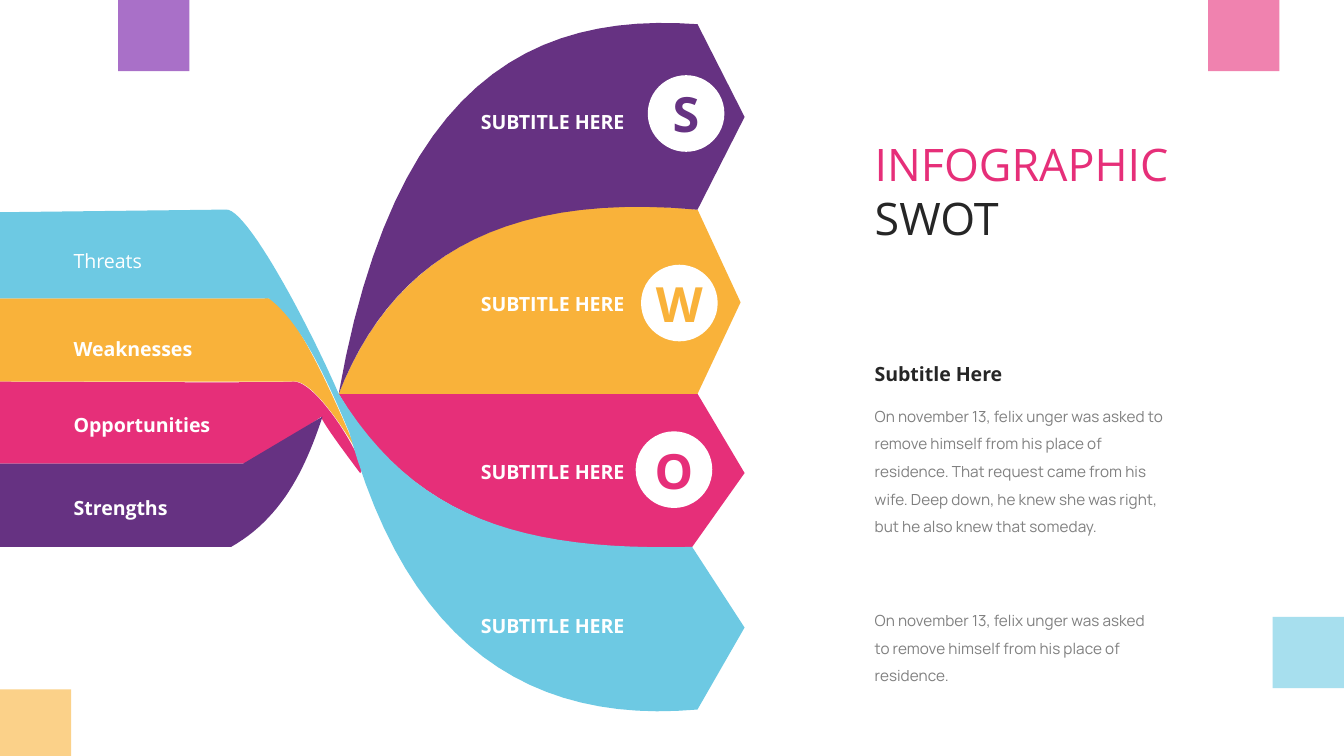
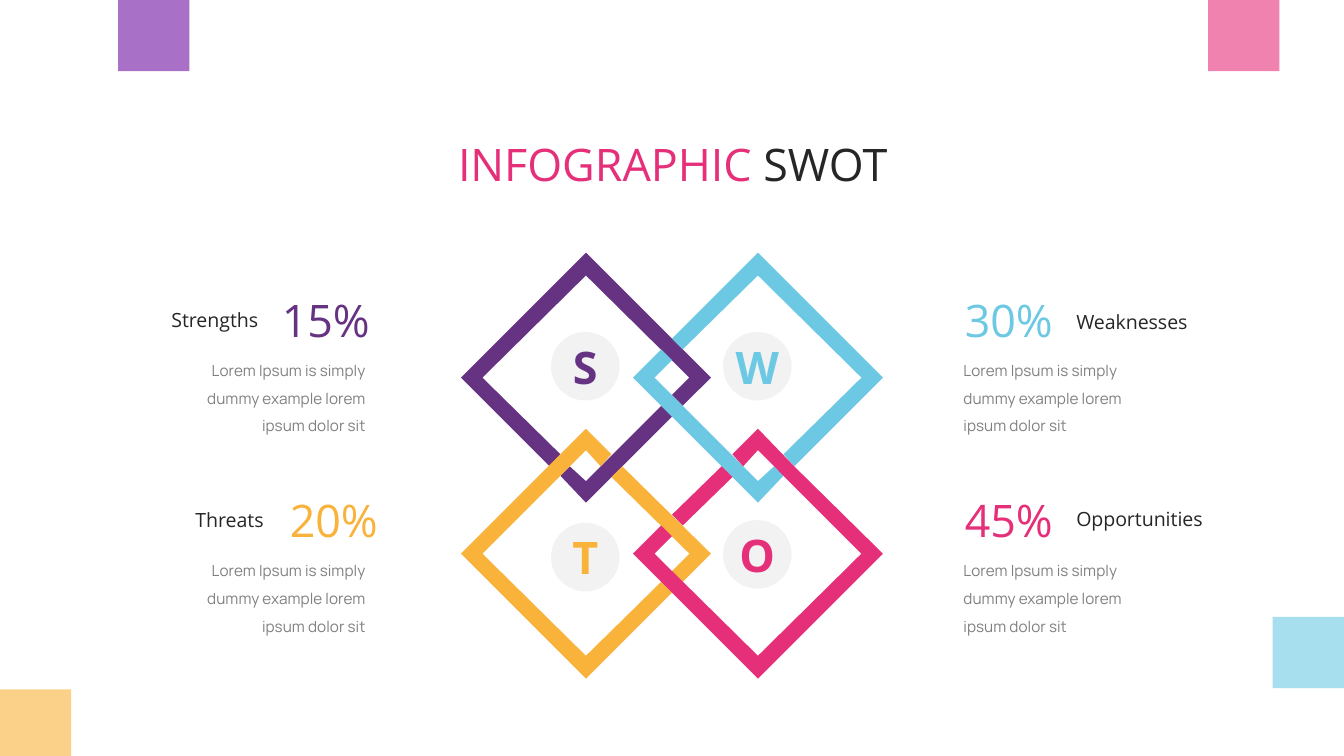
from pptx import Presentation
from pptx.dml.color import RGBColor
from pptx.enum.shapes import MSO_SHAPE
from pptx.enum.text import MSO_ANCHOR, MSO_AUTO_SIZE, PP_ALIGN
from pptx.util import Inches, Pt

# Shared style
COLORS = {
    "purple": "663282", "yellow": "F9B23A", "pink": "E62F79", "blue": "6DC9E3",
    "light_purple": "A970C8", "light_yellow": "FBD189",
    "light_pink": "F082AF", "light_blue": "A7DFEE",
    "white": "FFFFFF", "pale_grey": "F2F2F2", "grey": "808080", "ink": "262626",
}
HEADING_FONT, BODY_FONT = "Open Sans", "Manrope"
TITLE_SIZE, LABEL_SIZE, BODY_SIZE = 24, 10.5, 8.25
LEFT, CENTER, RIGHT = PP_ALIGN.LEFT, PP_ALIGN.CENTER, PP_ALIGN.RIGHT

CORNER_SIZE = 0.53
CORNERS = [("light_yellow", 0, 5.13), ("light_pink", 8.99, 0),
           ("light_blue", 9.47, 4.59), ("light_purple", 0.88, 0)]

# Ribbons, back to front: a pair is a straight step, six numbers are a curve
LEFT_RIBBONS_BACK = [
    ("yellow", [(2.21, 2.84), (2.35, 2.87, 2.56, 3.19, 2.65, 3.35),
                (2.53, 3.06, 2.15, 2.17, 1.97, 2.22), (0, 2.22), (0, 2.84)]),
    ("pink", [(1.81, 3.45), (1.81, 3.46, 2.35, 3.14, 2.39, 3.1),
              (2.39, 3.13, 2.56, 3.36, 2.68, 3.52),
              (2.76, 3.49, 2.36, 2.82, 2.18, 2.84),
              (2.12, 2.85, 0, 2.84, 0, 2.84), (0, 3.45)]),
    ("purple", [(1.72, 4.07), (2.09, 3.86, 2.27, 3.5, 2.4, 3.1),
                (1.81, 3.45), (0, 3.45), (0, 4.07)]),
]
RIGHT_RIBBONS = [
    ("pink", [(5.15, 4.07), (5.54, 3.52), (5.19, 2.93), (2.52, 2.93),
              (3.04, 3.83, 3.96, 4.15, 5.15, 4.07)]),
    ("yellow", [(5.51, 2.25), (5.19, 1.56),
                (3.82, 1.42, 2.94, 1.87, 2.52, 2.93), (5.19, 2.93)]),
    ("purple", [(5.19, 1.56), (5.54, 0.87), (5.19, 0.18),
                (3.96, 0.09, 2.93, 0.6, 2.52, 2.93),
                (2.89, 1.99, 3.65, 1.42, 5.19, 1.56)]),
]
FRONT_RIBBON = ("blue", [
    (2, 2.22), (2.23, 2.39, 2.42, 2.79, 2.6, 3.22),
    (3.04, 4.81, 3.95, 5.39, 5.19, 5.28), (5.54, 4.67), (5.15, 4.07),
    (3.88, 4.1, 3.09, 3.86, 2.52, 2.93),
    (2.29, 2.4, 1.83, 1.54, 1.68, 1.56), (0, 1.58), (0, 2.22)])
RIBBON_BADGES = [("S", "purple", 4.82, 0.56), ("W", "yellow", 4.77, 1.97),
                 ("O", "pink", 4.73, 3.21)]
RIBBON_LABELS = [("Threats", 1.8, False), ("Weaknesses", 2.46, True),
                 ("Opportunities", 3.02, True), ("Strengths", 3.64, True)]
SUBTITLE_TOPS = [0.77, 2.12, 3.37, 4.52]

# Interlaced diamonds: each ring is two pieces, cut where it passes under
DIAMOND_PIECES = [
    ("purple", [(5.08, 2.6), (4.36, 1.88), (3.43, 2.81), (4.09, 3.47),
                (4.17, 3.38), (3.59, 2.81), (4.36, 2.05), (5.13, 2.81),
                (5, 2.94), (5.08, 3.02), (5.29, 2.81)]),
    ("purple", [(4.36, 3.58), (4.24, 3.47), (4.17, 3.54), (4.36, 3.74),
                (5, 3.1), (4.92, 3.02)]),
    ("yellow", [(4.63, 3.47), (4.55, 3.55), (5.13, 4.12), (5, 4.25),
                (5.08, 4.33), (5.29, 4.12)]),
    ("yellow", [(4.36, 4.88), (3.59, 4.12), (4.36, 3.35), (4.47, 3.47),
                (4.55, 3.38), (4.36, 3.19), (3.43, 4.12), (4.36, 5.05),
                (5, 4.41), (4.92, 4.33)]),
    ("blue", [(5.64, 1.88), (5, 2.52), (5.08, 2.6), (5.64, 2.05),
              (6.41, 2.81), (5.83, 3.38), (5.91, 3.47), (6.57, 2.81)]),
    ("blue", [(5.64, 3.58), (4.87, 2.81), (5, 2.68), (4.92, 2.6),
              (4.71, 2.81), (5.64, 3.74), (5.83, 3.54), (5.76, 3.47)]),
    ("pink", [(5.45, 3.55), (5.37, 3.47), (5, 3.83), (5.08, 3.91)]),
    ("pink", [(5.91, 3.47), (5.64, 3.19), (5.45, 3.38), (5.53, 3.47),
              (5.64, 3.35), (6.41, 4.12), (5.64, 4.88), (4.87, 4.12),
              (5, 3.99), (4.92, 3.91), (4.71, 4.12), (5.64, 5.05),
              (6.57, 4.12)]),
]
DIAMOND_BADGES = [("S", "purple", 4.1, 2.47), ("W", "blue", 5.38, 2.47),
                  ("O", "pink", 5.38, 3.87), ("T", "yellow", 4.1, 3.89)]

# Name, its box; percentage, its box; colour, body left and top, alignment
STATISTICS = [
    ("Strengths", (0.62, 2.24, 1.4, 0.28), "15%", (1.84, 2.13, 1.01, 0.5),
     "purple", 1.27, 2.57, RIGHT),
    ("Threats", (0.75, 3.73, 1.31, 0.28), "20%", (1.93, 3.62, 0.98, 0.5),
     "yellow", 1.27, 4.06, RIGHT),
    ("Weaknesses", (7.91, 2.26, 1.83, 0.28), "30%", (7.08, 2.13, 0.91, 0.5),
     "blue", 7.07, 2.57, LEFT),
    ("Opportunities", (7.91, 3.72, 1.47, 0.28), "45%", (7.08, 3.62, 0.91, 0.5),
     "pink", 7.07, 4.06, LEFT),
]
STATISTIC_TEXT = "Lorem Ipsum\u00a0is simply dummy example lorem ipsum dolor sit"
BODY_SHORT = ("On november 13, felix unger was asked to remove himself "
              "from his place of residence.")
BODY_LONG = (BODY_SHORT + " That request came from his wife. Deep down, he knew "
             "she was right, but he also knew that someday.")


def rgb(color):
    return RGBColor.from_string(COLORS[color])


def paint(shape, color):
    shape.shadow.inherit = False
    shape.fill.solid()
    shape.fill.fore_color.rgb = rgb(color)
    shape.line.fill.background()


def add_run(paragraph, text, size, color, font=HEADING_FONT, bold=False):
    run = paragraph.add_run()
    run.text = text
    run.font.name = font
    run.font.size = Pt(size)
    run.font.bold = bold
    run.font.color.rgb = rgb(color)


def add_text(slide, box, paragraphs, size, align=LEFT, font=HEADING_FONT,
             bold=False, spacing=None):
    """Each paragraph is a list of (text, color) runs."""
    frame = slide.shapes.add_textbox(*map(Inches, box)).text_frame
    frame.word_wrap = True
    frame.auto_size = MSO_AUTO_SIZE.SHAPE_TO_FIT_TEXT
    for index, runs in enumerate(paragraphs):
        paragraph = frame.add_paragraph() if index else frame.paragraphs[0]
        paragraph.alignment = align
        if spacing:
            paragraph.line_spacing = spacing
        for text, color in runs:
            add_run(paragraph, text, size, color, font, bold)


def add_label(slide, box, text, color, align=LEFT, bold=False):
    add_text(slide, box, [[(text, color)]], LABEL_SIZE, align, bold=bold)


def add_body(slide, box, text, align=LEFT):
    add_text(slide, box, [[(text, "grey")]], BODY_SIZE, align, BODY_FONT,
             spacing=1.5)


def add_badge(slide, letter, color, left, top, diameter, fill, size):
    badge = slide.shapes.add_shape(
        MSO_SHAPE.OVAL, *map(Inches, (left, top, diameter, diameter)))
    paint(badge, fill)
    frame = badge.text_frame
    frame.margin_left = frame.margin_right = 0
    frame.margin_top = frame.margin_bottom = 0
    frame.word_wrap = False
    frame.vertical_anchor = MSO_ANCHOR.MIDDLE
    frame.paragraphs[0].alignment = CENTER
    add_run(frame.paragraphs[0], letter, size, color, bold=True)


def curve_points(start, curve, steps=24):
    """Points along a cubic curve, without its start."""
    controls = [start, curve[:2], curve[2:4], curve[4:]]
    for step in range(1, steps + 1):
        t = step / steps
        weights = ((1 - t) ** 3, 3 * t * (1 - t) ** 2, 3 * t * t * (1 - t), t ** 3)
        yield tuple(sum(weight * control[axis]
                        for weight, control in zip(weights, controls))
                    for axis in (0, 1))


def add_outline(slide, color, steps):
    points = [steps[0]]
    for step in steps[1:]:
        points.extend([step] if len(step) == 2 else curve_points(points[-1], step))
    points = [(Inches(x), Inches(y)) for x, y in points]
    builder = slide.shapes.build_freeform(*points[0], scale=1.0)
    builder.add_line_segments(points[1:], close=True)
    paint(builder.convert_to_shape(), color)


def add_slide(presentation):
    slide = presentation.slides.add_slide(presentation.slide_layouts[6])
    for color, left, top in CORNERS:
        square = slide.shapes.add_shape(
            MSO_SHAPE.RECTANGLE,
            *map(Inches, (left, top, CORNER_SIZE, CORNER_SIZE)))
        paint(square, color)
    return slide


def build_ribbon_slide(presentation):
    slide = add_slide(presentation)
    # Title and text column
    add_text(slide, (6.41, 0.97, 3.41, 0.91),
             [[("INFOGRAPHIC", "pink")], [("SWOT", "ink")]], TITLE_SIZE)
    add_label(slide, (6.41, 2.64, 1.38, 0.28), "Subtitle Here", "ink", bold=True)
    add_body(slide, (6.41, 2.91, 2.42, 1.12), BODY_LONG)
    add_body(slide, (6.41, 4.43, 2.23, 0.71), BODY_SHORT)
    # Ribbons and badges
    for color, steps in LEFT_RIBBONS_BACK + RIGHT_RIBBONS + [FRONT_RIBBON]:
        add_outline(slide, color, steps)
    for letter, color, left, top in RIBBON_BADGES:
        add_badge(slide, letter, color, left, top, 0.57, "white", 26)
    # Ribbon labels
    for text, top, bold in RIBBON_LABELS:
        add_label(slide, (0.45, top, 1.63, 0.28), text, "white", bold=bold)
    for top in SUBTITLE_TOPS:
        add_label(slide, (3.48, top, 1.38, 0.28), "SUBTITLE HERE", "white",
                  bold=True)


def build_diamond_slide(presentation):
    slide = add_slide(presentation)
    # Title
    add_text(slide, (2.81, 0.97, 4.39, 0.5),
             [[("INFOGRAPHIC", "pink"), (" SWOT", "ink")]], TITLE_SIZE, CENTER)
    # Diamonds and badges
    for color, corners in DIAMOND_PIECES:
        add_outline(slide, color, corners)
    for letter, color, left, top in DIAMOND_BADGES:
        add_badge(slide, letter, color, left, top, 0.51, "pale_grey", 24)
    # Statistics on both sides
    for name, name_box, share, share_box, color, left, top, align in STATISTICS:
        add_label(slide, name_box, name, "ink", align)
        add_text(slide, share_box, [[(share, color)]], TITLE_SIZE, align)
        add_body(slide, (left, top, 1.55, 0.71), STATISTIC_TEXT, align)


def main():
    # Widescreen, 16 to 9
    presentation = Presentation()
    presentation.slide_width = Inches(10)
    presentation.slide_height = Inches(10 * 9 / 16)
    build_ribbon_slide(presentation)
    build_diamond_slide(presentation)
    presentation.save("out.pptx")


main()
